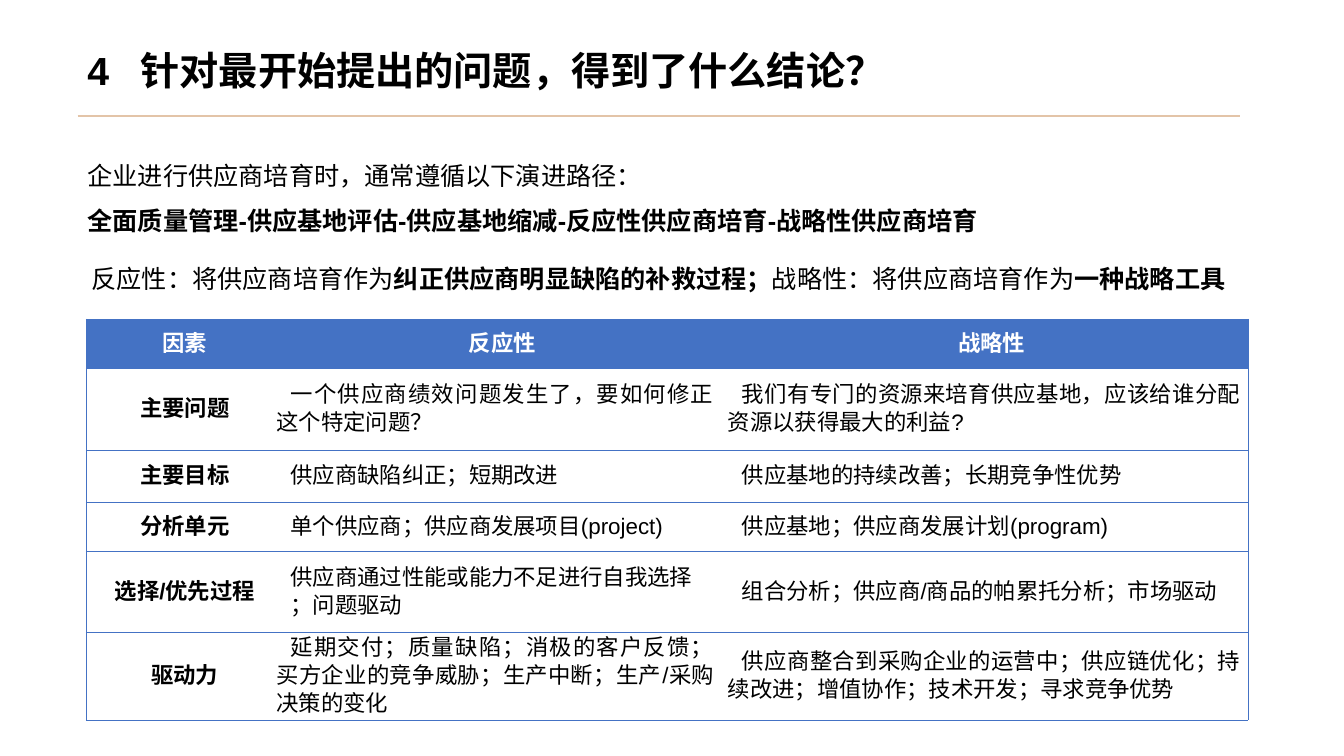
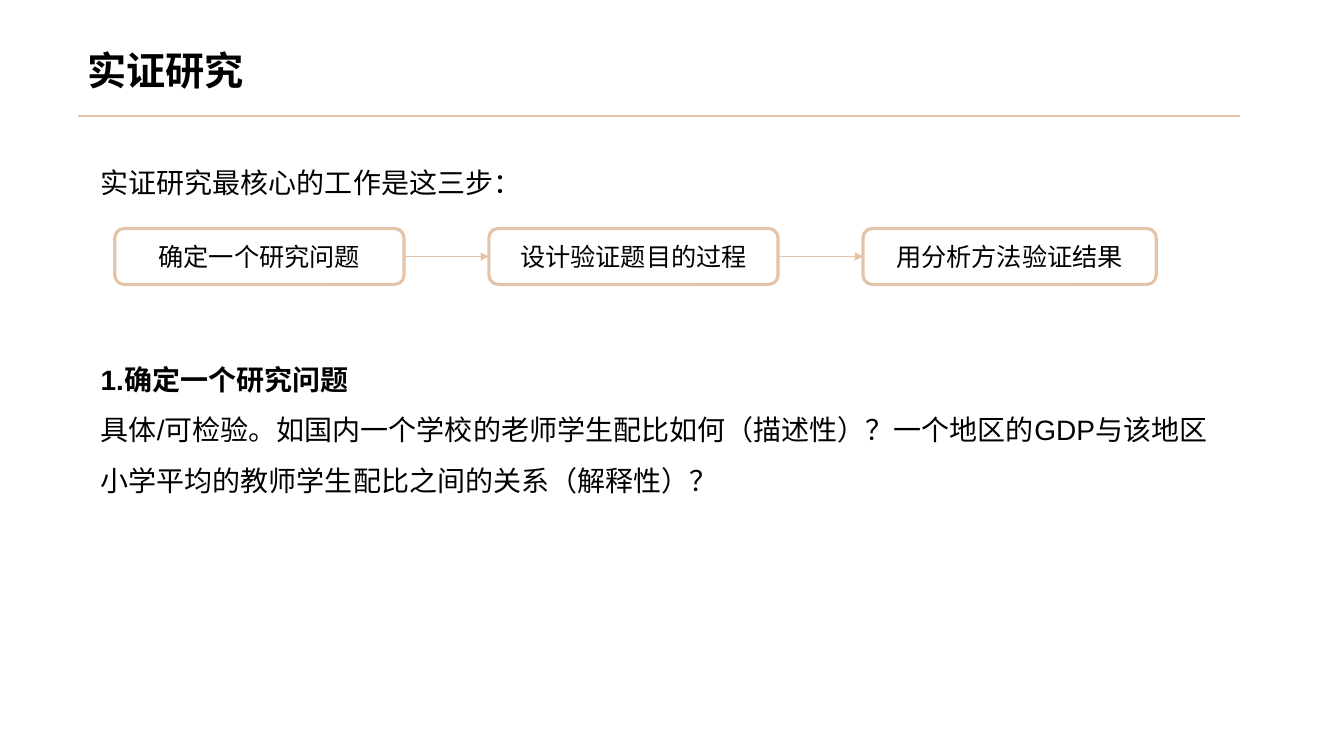
from lxml import etree
from pptx import Presentation
from pptx import util as u
from pptx.dml.color import RGBColor
from pptx.enum import shapes, text
from pptx.oxml.ns import qn

# Content: a paragraph is a list of (text, bold) runs
CONCLUSION_TITLE = "4\t针对最开始提出的问题，得到了什么结论？"
EVOLUTION = [
    [("企业进行供应商培育时，通常遵循以下演进路径：", False)],
    [("全面质量管理-供应基地评估-供应基地缩减-反应性供应商培育-战略性供应商培育", True)],
]
DEFINITIONS = [[
    ("反应性：将供应商培育作为", False),
    ("纠正供应商明显缺陷的补救过程；", True),
    ("战略性：将供应商培育作为", False),
    ("一种战略工具", True),
]]
FACTORS = [
    ("因素", "反应性", "战略性"),
    ("主要问题", "一个供应商绩效问题发生了，要如何修正这个特定问题？",
     "我们有专门的资源来培育供应基地，应该给谁分配资源以获得最大的利益?"),
    ("主要目标", "供应商缺陷纠正；短期改进", "供应基地的持续改善；长期竞争性优势"),
    ("分析单元", "单个供应商；供应商发展项目(project)", "供应基地；供应商发展计划(program)"),
    ("选择/优先过程", "供应商通过性能或能力不足进行自我选择\n；问题驱动",
     "组合分析；供应商/商品的帕累托分析；市场驱动"),
    ("驱动力", "延期交付；质量缺陷；消极的客户反馈；买方企业的竞争威胁；生产中断；生产/采购决策的变化",
     "供应商整合到采购企业的运营中；供应链优化；持续改进；增值协作；技术开发；寻求竞争优势"),
]
COLUMN_WIDTHS = (131, 322.5, 376.5)
ROW_HEIGHTS = (35, 58.6, 37.2, 35, 57.8, 62.9)

RESEARCH_TITLE = "实证研究"
STEPS_INTRO = [[("实证研究最核心的工作是这三步：", False)]]
STEPS = [("确定一个研究问题", 206.6), ("设计验证题目的过程", 206.6), ("用分析方法验证结果", 209.5)]
QUESTION = [
    [("1.确定一个研究问题", True)],
    [("具体/可检验。如国内一个学校的老师学生配比如何（描述性）？"
      "一个地区的GDP与该地区小学平均的教师学生配比之间的关系（解释性）？", False)],
]

# Shared style
COLORS = {"text": "000000", "white": "FFFFFF", "sand": "E3C4A8", "blue": "4472C4"}
LATIN, CJK = "Arial", "Noto Sans CJK SC"
Pt = u.Pt
ALIGN = text.PP_ALIGN

prs = Presentation()
prs.slide_width, prs.slide_height = Pt(960), Pt(540)


def rgb(name):
    return RGBColor.from_string(COLORS[name])


def add_run(p, words, size, bold=False, color="text", font=LATIN):
    r = p.add_run()
    r.text = words
    r.font.size, r.font.bold, r.font.name = Pt(size), bold, font
    r.font.color.rgb = rgb(color)
    rPr = r.font._element
    rPr.set("lang", "zh-CN")
    etree.SubElement(rPr, qn("a:ea"), typeface=CJK)


def paragraphs(tf, items):
    for i, item in enumerate(items):
        yield (tf.add_paragraph() if i else tf.paragraphs[0]), item


def add_text(s, box, content, size, spacing=1.5):
    tf = s.shapes.add_textbox(*map(Pt, box)).text_frame
    tf.word_wrap = True
    tf.auto_size = text.MSO_AUTO_SIZE.SHAPE_TO_FIT_TEXT
    for p, runs in paragraphs(tf, content):
        p.line_spacing = spacing
        for words, bold in runs:
            add_run(p, words, size, bold)
    return tf


def add_line(s, x1, x2, y, width, arrow=False):
    c = s.shapes.add_connector(shapes.MSO_CONNECTOR.STRAIGHT, Pt(x1), Pt(y), Pt(x2), Pt(y))
    c.line.color.rgb, c.line.width = rgb("sand"), Pt(width)
    if arrow:
        etree.SubElement(c.line._get_or_add_ln(), qn("a:tailEnd"), type="triangle")
    etree.SubElement(c._element.spPr, qn("a:effectLst"))


def add_titled_slide(title):
    s = prs.slides.add_slide(prs.slide_layouts[6])
    tf = add_text(s, (55.4, 29.5, 674, 41), [[(title, True)]], 28, 1.0)
    # Tab stop after the section number
    if "\t" in title:
        tabs = etree.SubElement(tf.paragraphs[0]._p.get_or_add_pPr(), qn("a:tabLst"))
        etree.SubElement(tabs, qn("a:tab"), pos=str(Pt(38)), algn="l")
    add_line(s, 55.4, 885.6, 82.8, 1.5)
    return s


def set_borders(cell, visible):
    tcPr = cell._tc.get_or_add_tcPr()
    for i, side in enumerate("LRTB"):
        ln = etree.Element(qn("a:ln" + side), w=str(Pt(0.5)))
        if side in visible:
            fill = etree.SubElement(ln, qn("a:solidFill"))
            etree.SubElement(fill, qn("a:srgbClr"), val=COLORS["blue"])
        else:
            etree.SubElement(ln, qn("a:noFill"))
        tcPr.insert(i, ln)


def fill_cell(cell, words, header, first, last):
    cell.margin_left = cell.margin_right = Pt(5)
    cell.margin_top = cell.margin_bottom = 0
    cell.vertical_anchor = text.MSO_ANCHOR.MIDDLE
    if header:
        cell.fill.solid()
        cell.fill.fore_color.rgb = rgb("blue")
    else:
        cell.fill.background()
    set_borders(cell, "TB" + "L" * first + "R" * last)
    label = header or first
    for p, line in paragraphs(cell.text_frame, words.split("\n")):
        p.alignment = ALIGN.CENTER if label else ALIGN.JUSTIFY
        p.line_spacing = Pt(20)
        p._p.get_or_add_pPr().set("indent", str(Pt(10)))
        add_run(p, line, 16, label, "white" if header else "text")


# Slide 1: conclusions and comparison table
s = add_titled_slide(CONCLUSION_TITLE)
add_text(s, (55.4, 100, 830, 69), EVOLUTION, 18)
add_text(s, (58.3, 173.5, 843, 36.7), DEFINITIONS, 18)
table = s.shapes.add_table(len(FACTORS), len(COLUMN_WIDTHS), Pt(61.5), Pt(228),
                           Pt(sum(COLUMN_WIDTHS)), Pt(sum(ROW_HEIGHTS))).table
table.first_row = table.horz_banding = False
for column, width in zip(table.columns, COLUMN_WIDTHS):
    column.width = Pt(width)
for i, (row, height) in enumerate(zip(table.rows, ROW_HEIGHTS)):
    row.height = Pt(height)
    for j, words in enumerate(FACTORS[i]):
        fill_cell(table.cell(i, j), words, i == 0, j == 0, j == len(COLUMN_WIDTHS) - 1)

# Slide 2: research steps
s = add_titled_slide(RESEARCH_TITLE)
add_text(s, (64.8, 103, 830, 39.6), STEPS_INTRO, 20)
add_text(s, (64.8, 243.4, 821, 112.3), QUESTION, 20)
STEP_LEFT, STEP_PITCH, STEP_TOP, STEP_HEIGHT = 82, 267.2, 163.2, 40
for i, (words, width) in enumerate(STEPS):
    x = STEP_LEFT + i * STEP_PITCH
    sp = s.shapes.add_shape(shapes.MSO_SHAPE.ROUNDED_RECTANGLE,
                            Pt(x), Pt(STEP_TOP), Pt(width), Pt(STEP_HEIGHT))
    sp.shadow.inherit = False
    sp.fill.background()
    sp.line.color.rgb, sp.line.width = rgb("sand"), Pt(2.25)
    tf = sp.text_frame
    tf.word_wrap, tf.vertical_anchor = True, text.MSO_ANCHOR.MIDDLE
    p = tf.paragraphs[0]
    p.alignment = ALIGN.CENTER
    add_run(p, words, 18, font=CJK)
    if i < len(STEPS) - 1:
        add_line(s, x + width, x + STEP_PITCH, STEP_TOP + STEP_HEIGHT / 2, 0.5, arrow=True)

prs.save("out.pptx")
